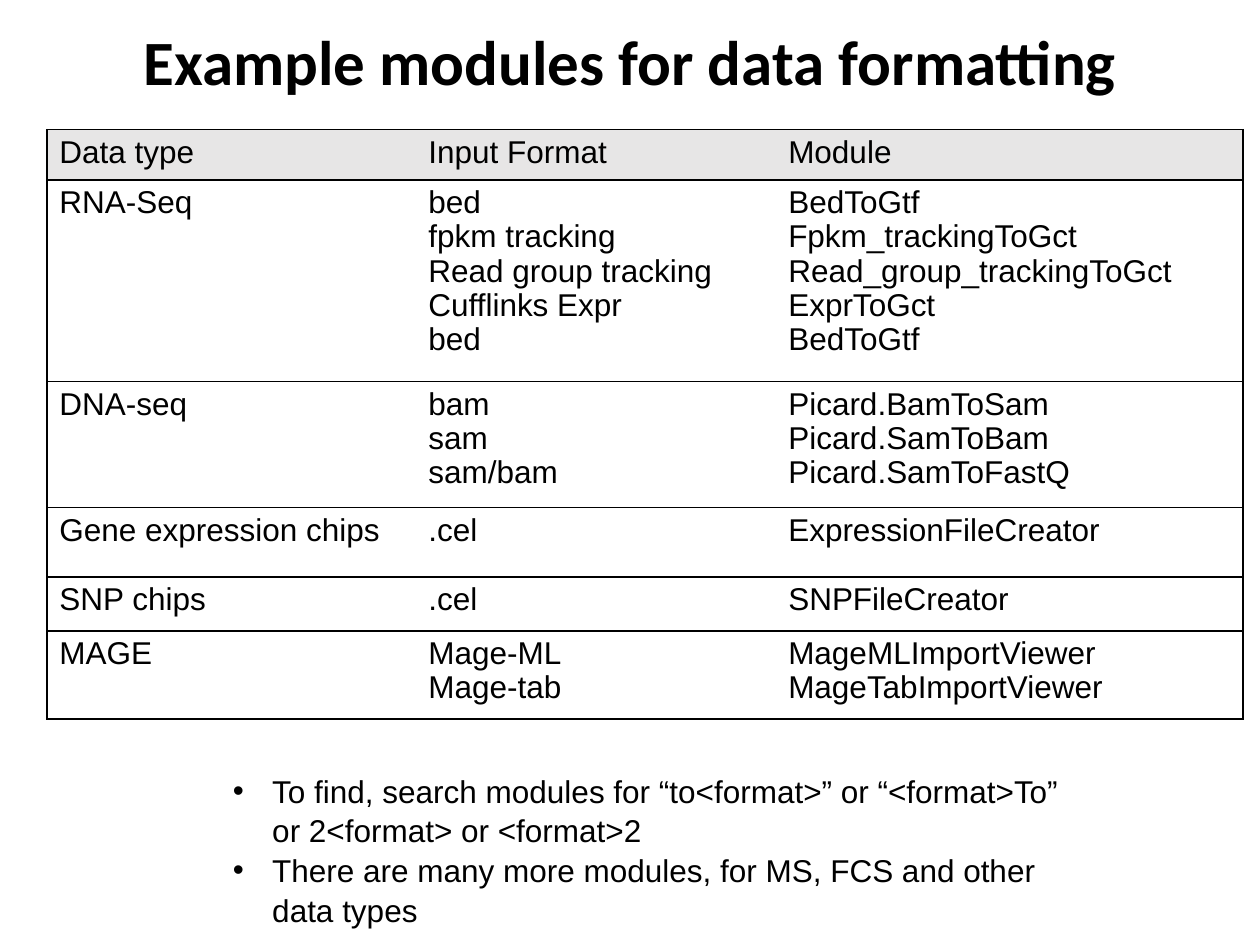
"""Build the slide listing example modules for data formatting."""
from lxml import etree
from pptx import Presentation
from pptx.dml.color import RGBColor
from pptx.enum.text import MSO_ANCHOR, PP_ALIGN
from pptx.oxml import parse_xml
from pptx.oxml.ns import nsdecls, qn
from pptx.util import Pt

CENTER = PP_ALIGN.CENTER
MIDDLE = MSO_ANCHOR.MIDDLE
BLACK, WHITE, GREY = "000000", "FFFFFF", "E7E6E6"


def rgb(value):
    return RGBColor.from_string(value)


def style(p, name, size, spacing=None, bold=False):
    p.line_spacing = spacing
    for r in p.runs:
        r.font.name = name
        r.font.size = Pt(size)
        r.font.bold = bold
        r.font.color.rgb = rgb(BLACK)


prs = Presentation()
prs.slide_width, prs.slide_height = Pt(720), Pt(540)
s = prs.slides.add_slide(prs.slide_layouts[5])

title = s.shapes.title
title.left, title.top, title.width, title.height = Pt(0), Pt(8.64), Pt(720), Pt(51.84)
tf = title.text_frame
tf.text = "Example modules for data formatting"
tf.vertical_anchor = MIDDLE
tf.paragraphs[0].alignment = CENTER
style(tf.paragraphs[0], "Calibri", 36, bold=True)

rows = [
    ("Data type", "Input Format", "Module"),
    ("RNA-Seq",
     "bed\nfpkm tracking\nRead group tracking\nCufflinks Expr\nbed",
     "BedToGtf\nFpkm_trackingToGct\nRead_group_trackingToGct\nExprToGct\nBedToGtf"),
    ("DNA-seq", "bam\nsam\nsam/bam",
     "Picard.BamToSam\nPicard.SamToBam\nPicard.SamToFastQ"),
    ("Gene expression chips", ".cel", "ExpressionFileCreator"),
    ("SNP chips", ".cel", "SNPFileCreator"),
    ("MAGE", "Mage-ML\nMage-tab", "MageMLImportViewer\nMageTabImportViewer"),
]
widths = [210.8, 205.7, 267]
heights = [28.8, 115.2, 72, 39.6, 31, 50.4]

table = s.shapes.add_table(len(rows), len(widths), Pt(26.8), Pt(74),
                           Pt(sum(widths)), Pt(sum(heights))).table
table.horz_banding = False
table.first_row = False
for column, width in zip(table.columns, widths):
    column.width = Pt(width)
for i, (texts, height) in enumerate(zip(rows, heights)):
    table.rows[i].height = Pt(height)
    for j, text in enumerate(texts):
        cell = table.cell(i, j)
        cell.text_frame.text = text
        for p in cell.text_frame.paragraphs:
            style(p, "Arial", 18, 0.97)
        cell.fill.solid()
        cell.fill.fore_color.rgb = rgb(WHITE if i else GREY)
        drawn = {"lnL": j == 0, "lnR": j == len(widths) - 1, "lnT": True, "lnB": True}
        for k, (side, shown) in enumerate(drawn.items()):
            paint = f'<a:solidFill><a:srgbClr val="{BLACK}"/></a:solidFill>' if shown else "<a:noFill/>"
            line = parse_xml(f'<a:{side} {nsdecls("a")} w="{Pt(1)}">{paint}</a:{side}>')
            cell._tc.get_or_add_tcPr().insert(k, line)

notes = [
    "To find, search modules for “to<format>” or “<format>To” or 2<format> or <format>2",
    "There are many more modules, for MS, FCS and other data types",
]
sp = s.shapes.add_textbox(Pt(126), Pt(436.3), Pt(504), Pt(72.7))
tf = sp.text_frame
tf.word_wrap = True
tf.text = "\n".join(notes)
for p in tf.paragraphs:
    style(p, "Arial", 18, 1.05)
    pPr = p._p.get_or_add_pPr()
    pPr.set("marL", str(Pt(22.5)))
    pPr.set("indent", str(Pt(-22.5)))
    etree.SubElement(pPr, qn("a:buFont")).set("typeface", "Arial")
    etree.SubElement(pPr, qn("a:buChar")).set("char", "•")

prs.save("out.pptx")
